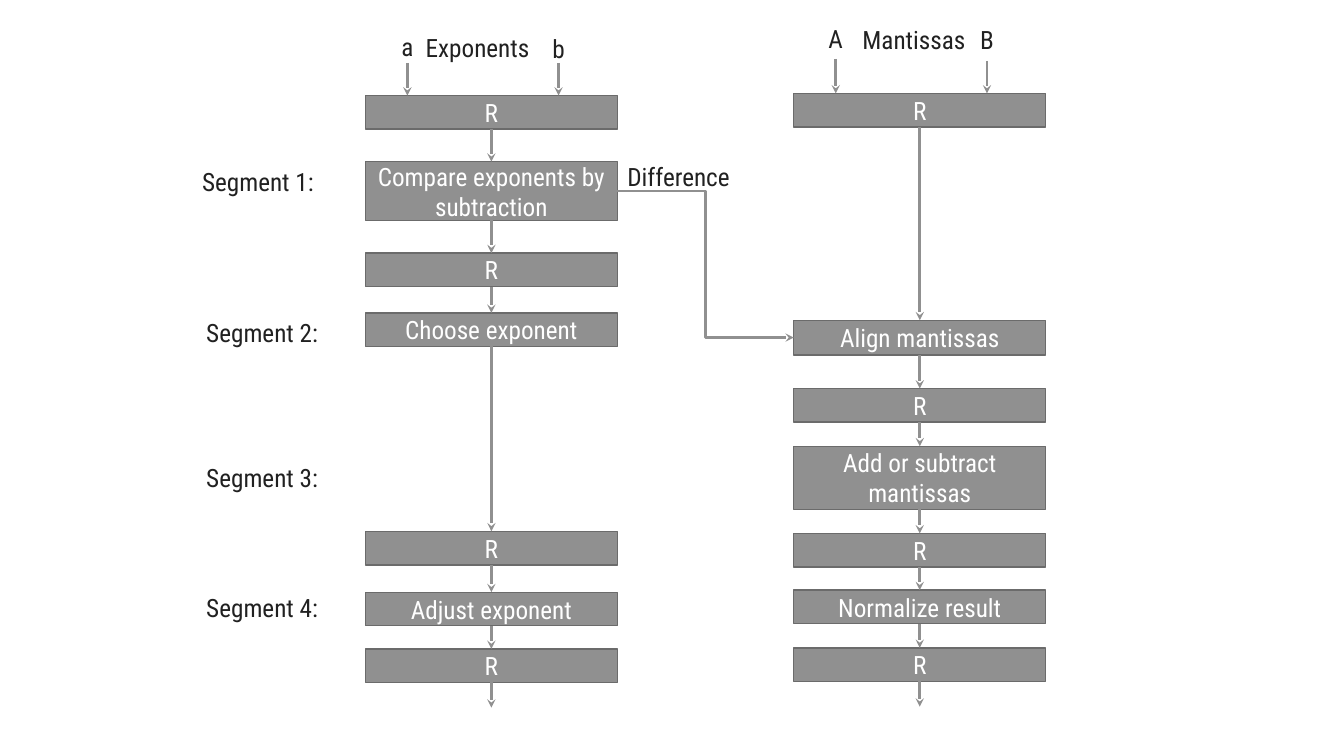
from dataclasses import dataclass
from itertools import pairwise

from lxml import etree
from pptx import Presentation
from pptx.dml.color import RGBColor
from pptx.enum.shapes import MSO_CONNECTOR, MSO_SHAPE
from pptx.enum.text import MSO_ANCHOR, MSO_AUTO_SIZE, PP_ALIGN
from pptx.oxml.ns import qn
from pptx.shapes.autoshape import Shape
from pptx.shapes.connector import Connector
from pptx.slide import Slide
from pptx.text.text import TextFrame
from pptx.util import Pt

RECTANGLE = MSO_SHAPE.RECTANGLE
STRAIGHT, ELBOW = MSO_CONNECTOR.STRAIGHT, MSO_CONNECTOR.ELBOW
LEFT, CENTER = PP_ALIGN.LEFT, PP_ALIGN.CENTER
MIDDLE = MSO_ANCHOR.MIDDLE
FIT_TEXT = MSO_AUTO_SIZE.SHAPE_TO_FIT_TEXT
TOP_SIDE, LEFT_SIDE, BOTTOM_SIDE, RIGHT_SIDE = range(4)

FONT = "Roboto Condensed"
COLORS = {"fill": "909090", "border": "6B6B6B", "text": "212121", "box_text": "FFFFFF"}
EMU_PER_PX = 9525
SLIDE_WIDTH, SLIDE_HEIGHT = 1280, 720
BOX_WIDTH, BOX_HEIGHT = 240, 32
LABEL_WIDTH, LABEL_HEIGHT = 144, 38
INPUT_WIDTH = 48
EXIT_LENGTH = 24


@dataclass(frozen=True)
class Stage:
    text: str
    top: int
    height: int = BOX_HEIGHT


@dataclass(frozen=True)
class Label:
    text: str
    left: int
    top: int
    width: int = LABEL_WIDTH
    alignment: PP_ALIGN = LEFT


@dataclass(frozen=True)
class Operand:
    text: str
    offset: int
    label_top: int
    arrow_top: int


@dataclass(frozen=True)
class Column:
    left: int
    title: Label
    operands: tuple[Operand, ...]
    stages: tuple[Stage, ...]


EXPONENTS = Column(
    348,
    Label("Exponents", 396, 26),
    (Operand("a", 40, 25, 60), Operand("b", 184, 27, 60)),
    (
        Stage("R", 91),
        Stage("Compare exponents by subtraction", 154, 56),
        Stage("R", 241),
        Stage("Choose exponent", 298),
        Stage("R", 506),
        Stage("Adjust exponent", 564),
        Stage("R", 618),
    ),
)
MANTISSAS = Column(
    756,
    Label("Mantissas", 812, 18),
    (Operand("A", 40, 17, 56), Operand("B", 184, 18, 58)),
    (
        Stage("R", 89),
        Stage("Align mantissas", 305, 33),
        Stage("R", 370),
        Stage("Add or subtract mantissas", 425, 60),
        Stage("R", 508),
        Stage("Normalize result", 562),
        Stage("R", 617),
    ),
)
SIDE_LABELS = (
    Label("Difference", 588, 149),
    Label("Segment 1:", 183, 154),
    Label("Segment 2:", 187, 297),
    Label("Segment 3:", 187, 436),
    Label("Segment 4:", 187, 559),
)


def px(*values: int) -> list[int]:
    return [value * EMU_PER_PX for value in values]


def color(name: str) -> RGBColor:
    return RGBColor.from_string(COLORS[name])


def set_text(text_frame: TextFrame, text: str, color_name: str, alignment: PP_ALIGN) -> None:
    text_frame.text = text
    text_frame.word_wrap = True
    paragraph = text_frame.paragraphs[0]
    paragraph.alignment = alignment
    font = paragraph.runs[0].font
    font.name = FONT
    font.size = Pt(18)
    font.color.rgb = color(color_name)


def add_box(slide: Slide, left: int, stage: Stage) -> Shape:
    box = slide.shapes.add_shape(RECTANGLE, *px(left, stage.top, BOX_WIDTH, stage.height))
    box.shadow.inherit = False
    box.fill.solid()
    box.fill.fore_color.rgb = color("fill")
    box.line.color.rgb = color("border")
    box.line.width = Pt(1)
    set_text(box.text_frame, stage.text, "box_text", CENTER)
    box.text_frame.vertical_anchor = MIDDLE
    return box


def add_label(slide: Slide, label: Label) -> None:
    text_box = slide.shapes.add_textbox(*px(label.left, label.top, label.width, LABEL_HEIGHT))
    set_text(text_box.text_frame, label.text, "text", label.alignment)
    text_box.text_frame.auto_size = FIT_TEXT


def add_arrow(slide: Slide, kind: MSO_CONNECTOR, points: tuple[int, ...] = (0, 0, 0, 0)) -> Connector:
    arrow = slide.shapes.add_connector(kind, *px(*points))
    arrow.line.color.rgb = color("fill")
    arrow.line.width = Pt(2)
    properties = arrow.element.spPr
    etree.SubElement(properties.find(qn("a:ln")), qn("a:tailEnd"), type="stealth")
    etree.SubElement(properties, qn("a:effectLst"))
    return arrow


def join(slide: Slide, kind: MSO_CONNECTOR, source: Shape, source_side: int, target: Shape, target_side: int) -> None:
    arrow = add_arrow(slide, kind)
    arrow.begin_connect(source, source_side)
    arrow.end_connect(target, target_side)


def add_column(slide: Slide, column: Column) -> list[Shape]:
    boxes = [add_box(slide, column.left, stage) for stage in column.stages]
    for upper, lower in pairwise(boxes):
        join(slide, STRAIGHT, upper, BOTTOM_SIDE, lower, TOP_SIDE)

    center = column.left + BOX_WIDTH // 2
    bottom = column.stages[-1].top + column.stages[-1].height
    exit_arrow = add_arrow(slide, STRAIGHT, (center, bottom, center, bottom + EXIT_LENGTH))
    exit_arrow.begin_connect(boxes[-1], BOTTOM_SIDE)

    add_label(slide, column.title)
    for operand in column.operands:
        x = column.left + operand.offset
        add_label(slide, Label(operand.text, x - INPUT_WIDTH // 2, operand.label_top, INPUT_WIDTH, CENTER))
        add_arrow(slide, STRAIGHT, (x, operand.arrow_top, x, column.stages[0].top))
    return boxes


def main() -> None:
    presentation = Presentation()
    presentation.slide_width, presentation.slide_height = px(SLIDE_WIDTH, SLIDE_HEIGHT)
    slide = presentation.slides.add_slide(presentation.slide_layouts[6])

    exponent_boxes = add_column(slide, EXPONENTS)
    mantissa_boxes = add_column(slide, MANTISSAS)
    join(slide, ELBOW, exponent_boxes[1], RIGHT_SIDE, mantissa_boxes[1], LEFT_SIDE)
    for label in SIDE_LABELS:
        add_label(slide, label)

    presentation.save("out.pptx")


if __name__ == "__main__":
    main()
